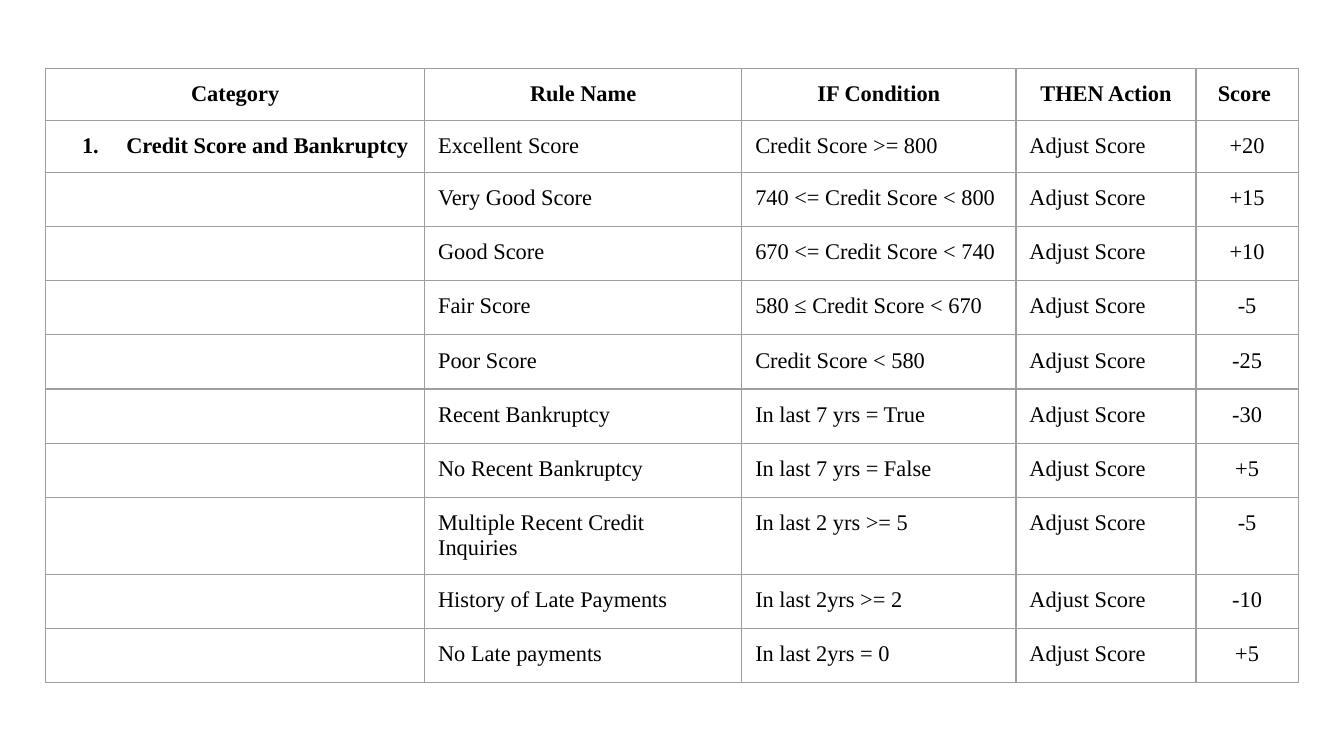
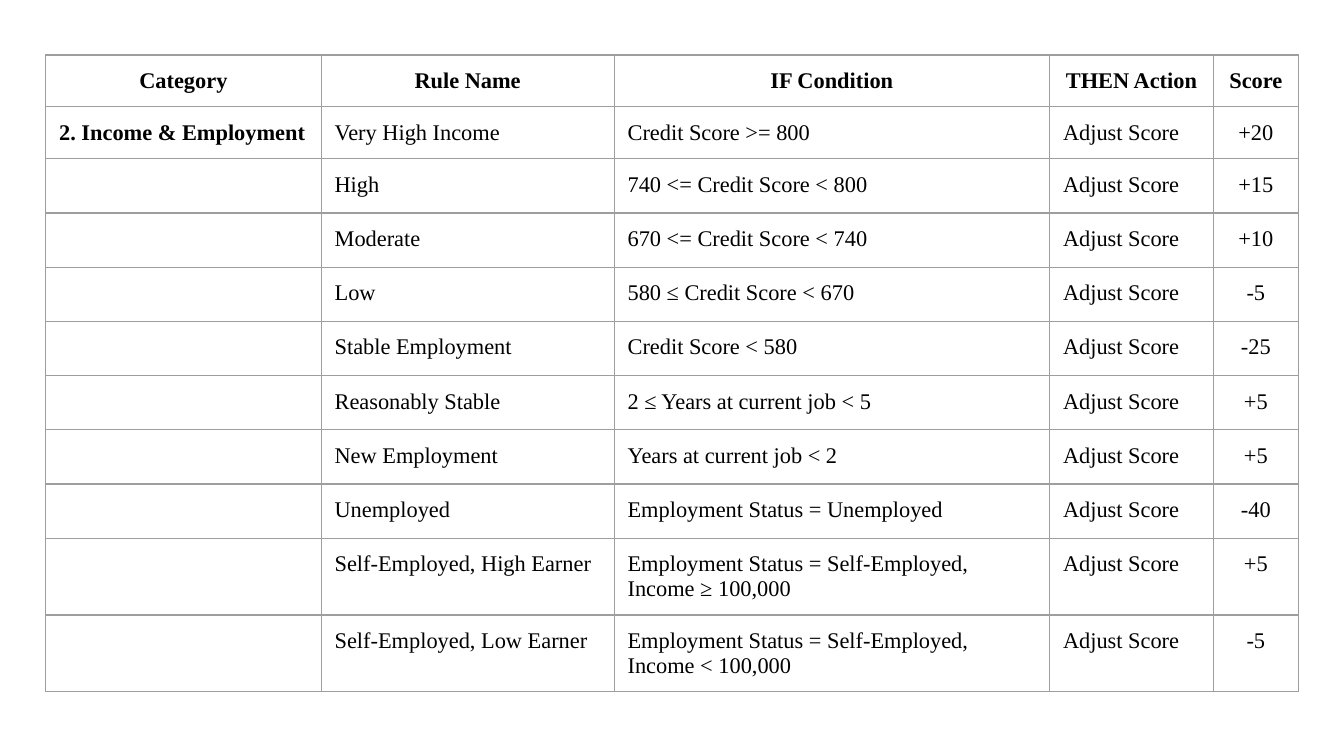
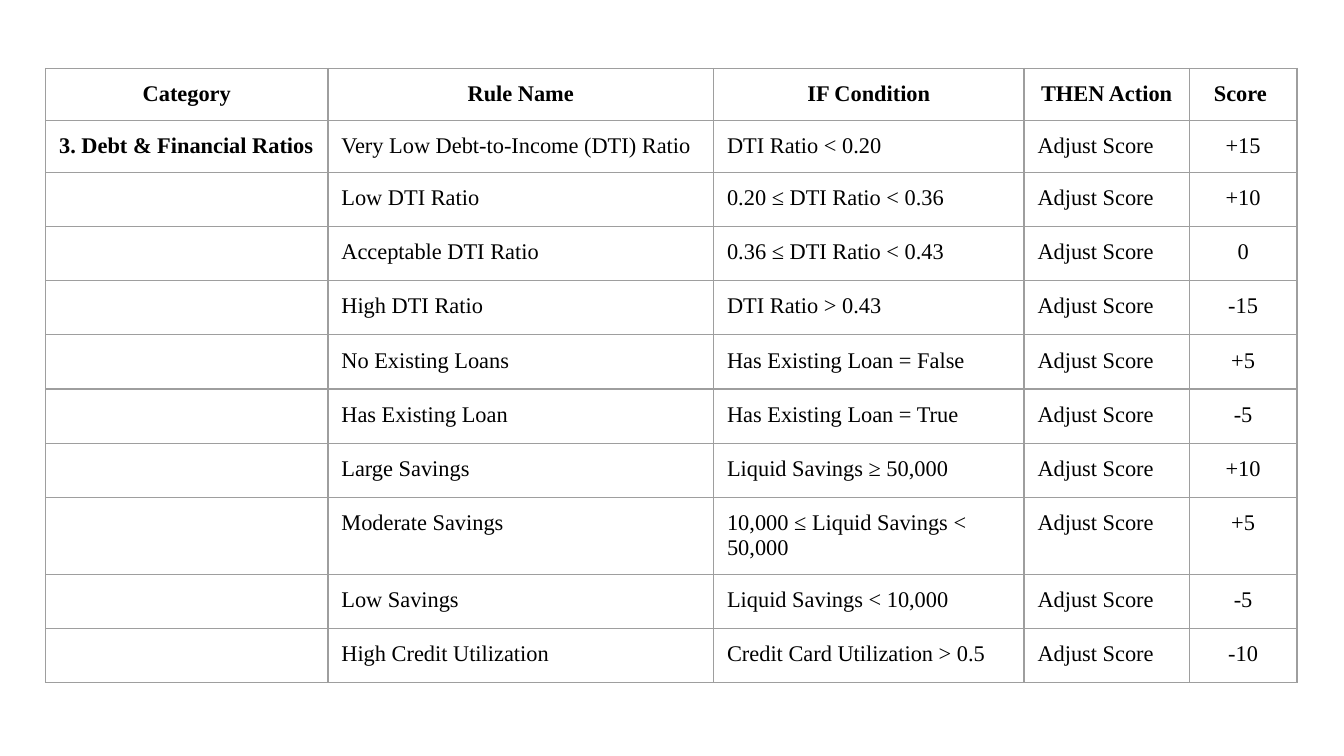
from lxml import etree
from pptx import Presentation
from pptx.dml.color import RGBColor
from pptx.enum.text import PP_ALIGN
from pptx.oxml.ns import qn
from pptx.util import Emu, Inches, Pt

CENTER = PP_ALIGN.CENTER
FONT = "Times New Roman"
SIZE = Pt(12)
INK = "000000"
GRID = "9E9E9E"
PAD = Inches(0.1)
LEFT, WIDTH = 0.34, 9.32
HEADS = ["Category", "Rule Name", "IF Condition", "THEN Action", "Score "]
ACTION = "Adjust Score"
LAST = len(HEADS) - 1

CREDIT = [
    ("Excellent Score", "Credit Score >= 800", "+20"),
    ("Very Good Score", "740 <= Credit Score < 800", "+15"),
    ("Good Score", "670 <= Credit Score < 740", "+10"),
    ("Fair Score", "580 ≤ Credit Score < 670", "-5"),
    ("Poor Score", "Credit Score < 580", "-25"),
    ("Recent Bankruptcy", "In last 7 yrs = True", "-30"),
    ("No Recent Bankruptcy", "In last 7 yrs = False", "+5"),
    ("Multiple Recent Credit Inquiries", "In last 2 yrs >= 5", "-5"),
    ("History of Late Payments", "In last 2yrs >= 2", "-10"),
    ("No Late payments", "In last 2yrs = 0", "+5"),
]
INCOME = [
    ("Very High Income", "Credit Score >= 800", "+20"),
    ("High", "740 <= Credit Score < 800", "+15"),
    ("Moderate", "670 <= Credit Score < 740", "+10"),
    ("Low", "580 ≤ Credit Score < 670", "-5"),
    ("Stable Employment", "Credit Score < 580", "-25"),
    ("Reasonably Stable", "2 ≤ Years at current job < 5", "+5"),
    ("New Employment", "Years at current job < 2", "+5"),
    ("Unemployed", "Employment Status = Unemployed", "-40"),
    ("Self-Employed, High Earner",
     "Employment Status = Self-Employed, Income ≥ 100,000", "+5"),
    ("Self-Employed, Low Earner",
     "Employment Status = Self-Employed, Income < 100,000", "-5"),
]
DEBT = [
    ("Very Low Debt-to-Income (DTI) Ratio", "DTI Ratio < 0.20", "+15"),
    ("Low DTI Ratio", "0.20 ≤ DTI Ratio < 0.36", "+10"),
    ("Acceptable DTI Ratio", "0.36 ≤ DTI Ratio < 0.43", "0"),
    ("High DTI Ratio", "DTI Ratio > 0.43", "-15"),
    ("No Existing Loans", "Has Existing Loan = False", "+5"),
    ("Has Existing Loan", "Has Existing Loan = True", "-5"),
    ("Large Savings", "Liquid Savings ≥ 50,000", "+10"),
    ("Moderate Savings", "10,000 ≤ Liquid Savings < 50,000", "+5"),
    ("Low Savings", "Liquid Savings < 10,000", "-5"),
    ("High Credit Utilization", "Credit Card Utilization > 0.5", "-10"),
]


def color(code):
    return RGBColor.from_string(code)


def node(parent, tag, **attrs):
    return etree.SubElement(parent, qn(tag), attrs)


def frame(cell):
    """Clear the cell's fill and draw its four borders."""
    cell.fill.background()
    props = cell._tc.get_or_add_tcPr()
    for spot, side in enumerate("LRTB"):
        line = node(props, f"a:ln{side}", w=str(Pt(0.75)))
        node(node(line, "a:solidFill"), "a:srgbClr", val=GRID)
        props.insert(spot, line)


def number(para):
    """Turn the paragraph into an automatically numbered item."""
    props = para._p.get_or_add_pPr()
    props.set("marL", str(Inches(0.5)))
    props.set("indent", str(Inches(-0.33)))
    node(node(props, "a:buClr"), "a:srgbClr", val=INK)
    node(props, "a:buFont", typeface=FONT)
    node(props, "a:buAutoNum", type="arabicPeriod")


def write(cell, text, bold, center):
    cell.margin_left = cell.margin_right = PAD
    cell.margin_top = cell.margin_bottom = PAD
    para = cell.text_frame.paragraphs[0]
    if center:
        para.alignment = CENTER
    if not text:
        node(para._p, "a:endParaRPr", sz=str(SIZE.centipoints))
        return
    run = para.add_run()
    run.text = text
    font = run.font
    font.name, font.size, font.bold = FONT, SIZE, bold
    font.color.rgb = color(INK)


def add_rules(deck, topic, rules, top, height, cols, low, tall, numbered=False):
    """Add a slide with one rule table; tall maps row numbers to heights."""
    slide = deck.slides.add_slide(deck.slide_layouts[6])
    rows = [HEADS]
    for spot, (name, test, score) in enumerate(rules):
        rows.append(["" if spot else topic, name, test, ACTION, score])
    shape = slide.shapes.add_table(
        len(rows), len(HEADS), Inches(LEFT), Inches(top),
        Inches(WIDTH), Inches(height))
    table = shape.table
    table.first_row = table.horz_banding = False
    for col, width in zip(table.columns, cols):
        col.width = Inches(width)
    for r, row in enumerate(rows):
        table.rows[r].height = Inches(tall.get(r, low))
        for c, text in enumerate(row):
            cell = table.cell(r, c)
            frame(cell)
            write(cell, text, r == 0 or c == 0, r == 0 or c == LAST)
    if numbered:
        number(table.cell(1, 0).text_frame.paragraphs[0])
    shape.width, shape.height = Inches(WIDTH), Inches(height)


def main():
    deck = Presentation()
    deck.slide_width, deck.slide_height = Inches(10), Emu(5143500)
    add_rules(deck, "Credit Score and Bankruptcy", CREDIT, 0.51, 4.6,
              [2.82, 2.36, 2.04, 1.34, 0.76], 0.31, {8: 0.36, 10: 0.36},
              numbered=True)
    add_rules(deck, "2. Income & Employment", INCOME, 0.41, 4.8,
              [2.05, 2.18, 3.24, 1.22, 0.63], 0.36, {9: 0.54, 10: 0.54})
    add_rules(deck, "3. Debt & Financial Ratios", DEBT, 0.51, 4.6,
              [2.1, 2.87, 2.31, 1.23, 0.8], 0.31,
              {2: 0.28, 8: 0.36, 10: 0.36})
    deck.save("out.pptx")


if __name__ == "__main__":
    main()
